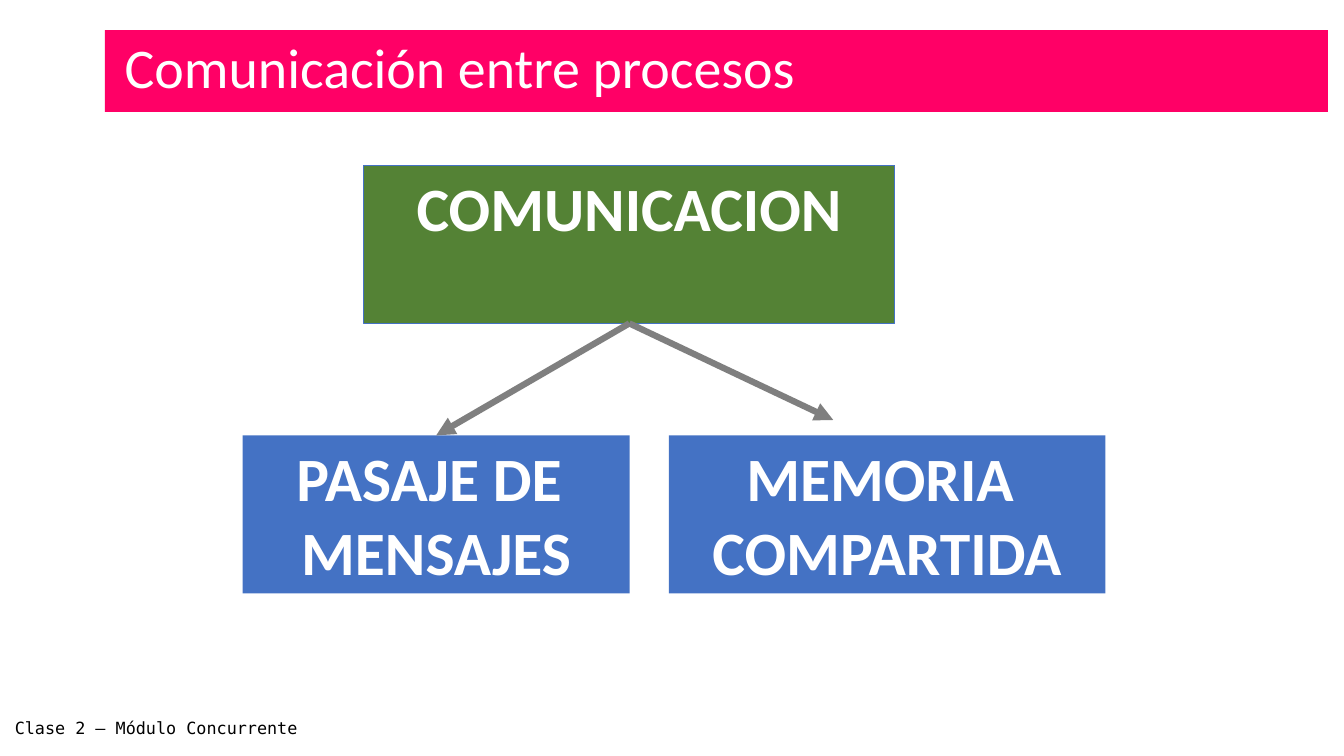
"""Builds the slide on communication between processes."""
from lxml import etree
from pptx import Presentation
from pptx.dml.color import RGBColor
from pptx.enum.shapes import MSO_CONNECTOR, MSO_SHAPE
from pptx.enum.text import MSO_ANCHOR, PP_ALIGN
from pptx.oxml.ns import qn
from pptx.util import Pt

RECTANGLE = MSO_SHAPE.RECTANGLE
STRAIGHT = MSO_CONNECTOR.STRAIGHT
TOP = MSO_ANCHOR.TOP
LEFT, CENTER = PP_ALIGN.LEFT, PP_ALIGN.CENTER
PINK = RGBColor(0xFF, 0x00, 0x66)
GREEN = RGBColor(0x54, 0x82, 0x35)
BLUE = RGBColor(0x44, 0x72, 0xC4)
GRAY = RGBColor(0x7F, 0x7F, 0x7F)
WHITE = RGBColor(0xFF, 0xFF, 0xFF)
BLACK = RGBColor(0x00, 0x00, 0x00)
BOX_HEIGHT = 113


def add_rectangle(left, top, width, height, color):
    shape = slide.shapes.add_shape(RECTANGLE, Pt(left), Pt(top), Pt(width), Pt(height))
    shape.shadow.inherit = False
    shape.fill.solid()
    shape.fill.fore_color.rgb = color
    shape.line.fill.background()
    return shape


def write_lines(shape, lines, font_name, size, color, alignment=LEFT, bold=False):
    frame = shape.text_frame
    frame.word_wrap = True
    frame.vertical_anchor = TOP
    frame.text = "\n".join(lines)
    for paragraph in frame.paragraphs:
        paragraph.alignment = alignment
        paragraph.font.name = font_name
        paragraph.font.size = Pt(size)
        paragraph.font.bold = bold
        paragraph.font.color.rgb = color


presentation = Presentation()
presentation.slide_width = Pt(960.48)
presentation.slide_height = Pt(540)
slide = presentation.slides.add_slide(presentation.slide_layouts[6])

add_rectangle(75, 21.5, 874, 58.5, PINK)

footer = slide.shapes.add_textbox(Pt(3.5), Pt(509), Pt(225), Pt(21.5))
write_lines(footer, ["Clase 2 – Módulo Concurrente"], "DejaVu Sans Mono", 12, BLACK)

boxes = []
for left, top, width, color, lines in [
    (260, 118, 379.5, GREEN, ["COMUNICACION"]),
    (173.5, 311, 276.5, BLUE, ["PASAJE DE ", "MENSAJES"]),
    (478, 311, 312, BLUE, ["MEMORIA ", "COMPARTIDA"]),
]:
    box = add_rectangle(left, top, width, BOX_HEIGHT, color)
    write_lines(box, lines, "Calibri", 44, WHITE, CENTER, True)
    boxes.append(box)
communication, messages, memory = boxes
communication.line.color.rgb = BLUE
communication.line.width = Pt(0.75)

arrows = []
for end_x, end_y in [(312, 311), (595.5, 300)]:
    arrow = slide.shapes.add_connector(STRAIGHT, Pt(449.5), Pt(231), Pt(end_x), Pt(end_y))
    arrow.begin_connect(communication, 2)
    arrow.line.color.rgb = GRAY
    arrow.line.width = Pt(4.5)
    etree.SubElement(arrow.line._get_or_add_ln(), qn("a:tailEnd"), type="triangle")
    etree.SubElement(arrow._element.spPr, qn("a:effectLst"))
    arrows.append(arrow)
arrows[0].end_connect(messages, 0)

title = slide.shapes.add_textbox(Pt(82), Pt(20), Pt(496), Pt(55.5))
write_lines(title, ["Comunicación entre procesos"], "Calibri", 40, WHITE)

presentation.save("out.pptx")
